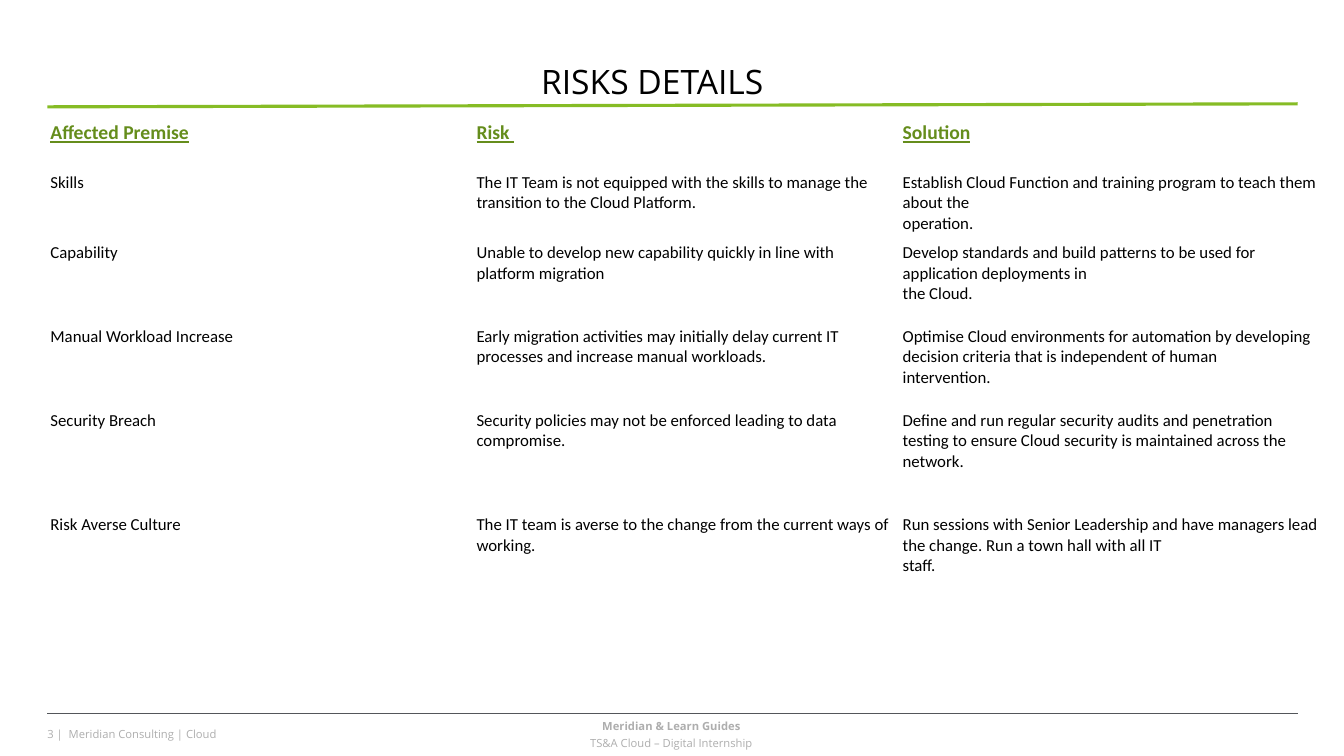
from lxml import etree
from pptx import Presentation
from pptx import util as u
from pptx.dml.color import RGBColor
from pptx.enum import shapes, text
from pptx.oxml.ns import qn

GREEN, DARK_GREEN, GREY, PALE = "86BC25", "658D1C", "53565A", "AEAEAE"
LEFT, RIGHT = 0.47, 12.87
CENTER = text.PP_ALIGN.CENTER


def color(value):
    return RGBColor.from_string(value)


class Deck:
    heading = dict(name="Calibri", size=u.Pt(14), bold=True, underline=True, color=DARK_GREEN)
    body = dict(name="Calibri", size=u.Pt(12), bold=False, underline=False, color="000000")
    title_font = dict(name="Open Sans", size=u.Pt(24), bold=False, color="000000")
    footer = dict(name="Open Sans", size=u.Pt(8), bold=False, color=PALE)

    def __init__(self, prs):
        self.s = prs.slides.add_slide(prs.slide_layouts[5])

    def fill_text(self, tf, lines, styles, align=text.PP_ALIGN.LEFT, after=0):
        for i, line in enumerate(lines):
            p = tf.paragraphs[0] if i == 0 else tf.add_paragraph()
            p.alignment, p.space_before, p.space_after = align, u.Pt(0), u.Pt(after)
            r = p.add_run()
            r.text = line
            for key, value in styles[min(i, len(styles) - 1)].items():
                if key == "color":
                    r.font.color.rgb = color(value)
                else:
                    setattr(r.font, key, value)

    def frame(self, sp, box):
        for key, value in zip(("left", "top", "width", "height"), box):
            setattr(sp, key, u.Inches(value))
        tf = sp.text_frame
        settings = dict(margin_left=0, margin_right=0, margin_top=0, margin_bottom=0, word_wrap=True,
                        vertical_anchor=text.MSO_ANCHOR.TOP, auto_size=text.MSO_AUTO_SIZE.NONE)
        for key, value in settings.items():
            setattr(tf, key, value)
        return tf

    def title(self, line, box):
        self.fill_text(self.frame(self.s.shapes.title, box), [line], [self.title_font], CENTER)

    def label(self, lines, box, styles, **layout):
        sp = self.s.shapes.add_textbox(*map(u.Inches, box))
        self.fill_text(self.frame(sp, box), lines, styles, **layout)

    def line(self, y1, y2, hue, width):
        sp = self.s.shapes.add_connector(shapes.MSO_CONNECTOR.STRAIGHT,
                                         *map(u.Inches, (LEFT, y1, RIGHT, y2)))
        sp.line.color.rgb, sp.line.width = color(hue), u.Pt(width)
        etree.SubElement(sp._element.spPr, qn("a:effectLst"))

    def table(self, rows, heights, box):
        tbl = self.s.shapes.add_table(len(heights), len(rows[0]), *map(u.Inches, box)).table
        tbl.first_row = tbl.horz_banding = False
        for row, height in zip(tbl.rows, heights):
            row.height = u.Inches(height)
        for i, row in enumerate(tbl.rows):
            for j, cell in enumerate(row.cells):
                cell.fill.background()
                cell.margin_left = cell.margin_right = u.Inches(0.03)
                cell.margin_top = cell.margin_bottom = 0
                if i < len(rows):
                    style = self.body if i else self.heading
                    self.fill_text(cell.text_frame, rows[i][j].split("\n"), [style])


RISKS = [
    ("Affected Premise", "Risk\u00a0", "Solution"),
    ("Skills",
     "The IT Team is not equipped with the skills to manage the transition to the Cloud Platform.",
     "Establish Cloud Function and training program to teach them about the\noperation."),
    ("Capability",
     "Unable to develop new capability quickly in line with platform migration",
     "Develop standards and build patterns to be used for application deployments in\nthe Cloud."),
    ("Manual Workload Increase",
     "Early migration activities may initially delay current IT processes and increase manual workloads.",
     "Optimise Cloud environments for automation by developing decision criteria that is "
     "independent of human\nintervention."),
    ("Security Breach",
     "Security policies may not be enforced leading to data compromise.",
     "Define and run regular security audits and penetration testing to ensure Cloud security "
     "is maintained across the\nnetwork."),
    ("Risk Averse Culture",
     "The IT team is averse to the change from the current ways of working.",
     "Run sessions with Senior Leadership and have managers lead the change. "
     "Run a town hall with all IT\nstaff."),
]

prs = Presentation()
prs.slide_width, prs.slide_height = u.Inches(13.33), u.Inches(7.5)
deck = Deck(prs)
deck.line(7.08, 7.08, GREY, 1)
deck.label(["3 |  Meridian Consulting | Cloud"], (LEFT, 7.22, 2.5, 0.15), [deck.footer])
deck.line(1.06, 1.03, GREEN, 2.25)
deck.label(["Meridian & Learn Guides", "TS&A Cloud – Digital Internship"], (5.66, 7.14, 2, 0.3),
           [dict(deck.footer, bold=True), deck.footer], align=CENTER, after=2)
deck.table(RISKS, (0.51, 0.7, 0.83, 0.83, 1.04, 0.83, 1.04), (LEFT, 1.2, 12.68, 5.8))
deck.title("RISKS DETAILS", (1.53, 0.6, 9.88, 0.4))
prs.save("out.pptx")
